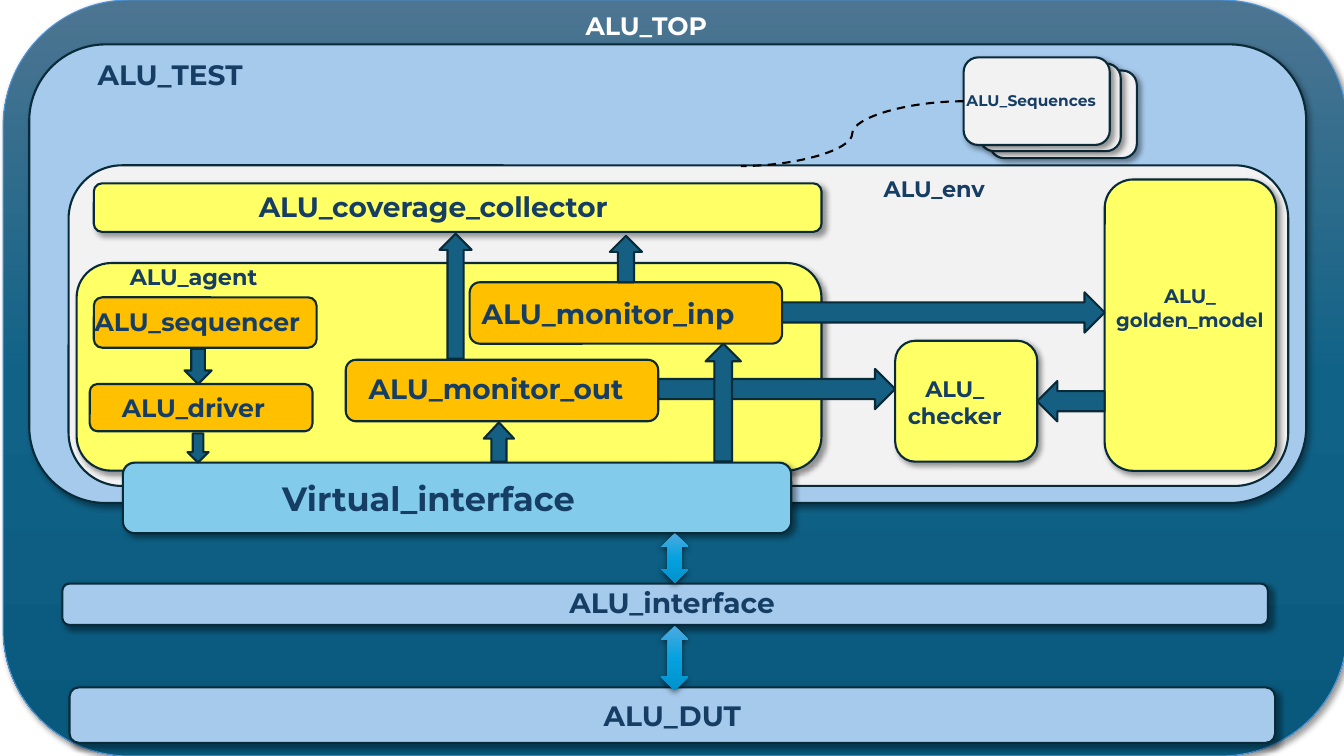
from dataclasses import dataclass

from pptx import Presentation
from pptx.dml.color import RGBColor
from pptx.enum.dml import MSO_LINE
from pptx.enum.shapes import MSO_CONNECTOR, MSO_SHAPE as Preset
from pptx.enum.text import MSO_ANCHOR as Anchor, MSO_AUTO_SIZE as AutoSize, PP_ALIGN as Align
from pptx.oxml import parse_xml
from pptx.oxml.ns import nsdecls, qn
from pptx.shapes.autoshape import Shape
from pptx.shapes.shapetree import SlideShapes
from pptx.text.text import TextFrame
from pptx.util import Pt

FONT = "Montserrat"
COLORS = {
    "navy": "163E64", "white": "FFFFFF", "black": "000000", "outline": "092A39",
    "top_edge": "4E95D9", "sky": "A6CAEC", "env": "F2F2F2", "yellow": "FFFF66",
    "orange": "FFC000", "virtual": "83CBEB", "teal": "156082",
}
GRADIENTS = {
    "top": ("4C7591", "106287", "09597D"),
    "link": ("4CAADF", "05A2DF", "0092CB"),
}


@dataclass(frozen=True)
class Shadow:
    """Offset shadow: opacity in percent, lengths in points, angle in degrees."""
    opacity: int
    blur: float
    distance: float
    angle: int


BOX_SHADOW = Shadow(40, 4, 3, 45)
LINK_SHADOW = Shadow(63, 4.5, 1.5, 90)


@dataclass(frozen=True)
class Block:
    """A filled preset shape of the testbench diagram."""
    left: float
    top: float
    width: float
    height: float
    fill: str
    shadow: Shadow | None = BOX_SHADOW
    preset: Preset = Preset.ROUNDED_RECTANGLE
    edge: str | None = "outline"
    edge_width: float = 1.5
    head: float | None = None


@dataclass(frozen=True)
class Label:
    """A caption placed over the diagram."""
    left: float
    top: float
    width: float
    size: int
    text: str
    align: Align = Align.LEFT


def arrow(preset: Preset, left: float, top: float, width: float, height: float,
          head: float | None = None) -> Block:
    """Describe a teal data-flow arrow."""
    return Block(left, top, width, height, "teal", None, preset, head=head)


def link(top: float, height: float) -> Block:
    """Describe a two-way arrow between interface layers."""
    return Block(472.3, top, 19.4, height, "link", LINK_SHADOW, Preset.UP_DOWN_ARROW, None)


TOP = Block(2.2, 0, 960, 540, "top", edge="top_edge", edge_width=0.75)
DUT = Block(49.7, 491, 861.1, 39.6, "sky")
FRONT_SEQUENCE = Block(688.3, 41, 104.4, 62.6, "env")

BLOCKS = [
    Block(20.9, 31.7, 912.2, 327.6, "sky"),
    Block(44.6, 416.9, 861.1, 29.5, "sky"),
    Block(49, 118.1, 871.2, 229, "env", None),
    Block(707, 50.4, 105.1, 62.6, "env"),
    Block(699.8, 45.4, 100.8, 62.6, "env"),
    Block(54.7, 187.9, 532.1, 148.3, "yellow"),
    Block(67, 131, 519.8, 34.6, "yellow"),
    Block(639.4, 243.4, 101.5, 86.4, "yellow"),
    Block(789.1, 128.2, 122.4, 208.1, "yellow"),
    Block(64.1, 274.3, 159.1, 33.8, "orange", None),
    Block(67, 212.4, 159.1, 36, "orange", None),
    Block(335.5, 201.6, 223.2, 43.9, "orange", None),
    Block(247, 257, 223.2, 43.9, "orange", None),
    Block(87.8, 330.5, 477.4, 50.4, "virtual"),
]

ARROWS = [
    link(447.1, 46.1),
    link(380.9, 35.3),
    arrow(Preset.RIGHT_ARROW, 558.7, 208.8, 230.4, 28.8),
    arrow(Preset.DOWN_ARROW, 131.8, 249.1, 19.4, 25.2),
    arrow(Preset.RIGHT_ARROW, 470.2, 263.5, 169.2, 28.8),
    arrow(Preset.LEFT_ARROW, 740.9, 272.2, 48.2, 28.8),
    arrow(Preset.UP_ARROW, 313.9, 167, 23, 89.3),
    arrow(Preset.UP_ARROW, 435.6, 168.5, 23, 33.1),
    arrow(Preset.UP_ARROW, 504, 245.5, 25.2, 84.2),
    arrow(Preset.DOWN_ARROW, 133.9, 309.6, 15.1, 20.9),
    arrow(Preset.UP_ARROW, 345.6, 301.7, 21.6, 28.1, head=0.54),
]

LABELS = [
    Label(62.6, 37.4, 480, 20, "ALU_TEST"),
    Label(683.3, 61.2, 117.4, 11, "ALU_Sequences"),
    Label(177.8, 131.8, 280.8, 20, "ALU_coverage_collector"),
    Label(781.6, 199.4, 136.8, 14, "ALU_\ngolden_model", Align.CENTER),
    Label(60.5, 215.3, 480, 18, "ALU_sequencer"),
    Label(79.9, 276.5, 480, 18, "ALU_driver"),
    Label(622.2, 264.2, 119.6, 16, "ALU_\nchecker", Align.CENTER),
    Label(194.4, 337.7, 480, 24, "Virtual_interface"),
    Label(399.6, 414.7, 480, 20, "ALU_interface"),
    Label(256.3, 262.1, 480, 20, "ALU_monitor_out"),
    Label(337, 208.1, 202.3, 20, "ALU_monitor_inp"),
    Label(85.7, 184.3, 164, 16, "ALU_agent"),
    Label(624.2, 121.7, 164, 16, "ALU_env"),
]


def write_text(frame: TextFrame, text: str, size: int, color: str, align: Align) -> None:
    """Write each line of the text as a bold paragraph."""
    frame.word_wrap = True
    for index, line in enumerate(text.split("\n")):
        paragraph = frame.add_paragraph() if index else frame.paragraphs[0]
        paragraph.alignment = align
        run = paragraph.add_run()
        run.text = line
        run.font.name, run.font.size, run.font.bold = FONT, Pt(size), True
        run.font.color.rgb = RGBColor.from_string(COLORS[color])


def add_gradient(shape: Shape, stops: tuple[str, ...]) -> None:
    """Fill the shape from top to bottom with evenly spaced colours."""
    step = 100000 // (len(stops) - 1)
    stop_xml = "".join(f'<a:gs pos="{index * step}"><a:srgbClr val="{color}"/></a:gs>'
                       for index, color in enumerate(stops))
    shape.element.spPr.find(qn("a:prstGeom")).addnext(parse_xml(
        f'<a:gradFill {nsdecls("a")} rotWithShape="1"><a:gsLst>{stop_xml}</a:gsLst>'
        '<a:lin ang="5400000" scaled="0"/></a:gradFill>'))


def add_shadow(shape: Shape, shadow: Shadow) -> None:
    """Give the shape an outer shadow."""
    shape.element.spPr.find(qn("a:effectLst")).append(parse_xml(
        f'<a:outerShdw {nsdecls("a")} blurRad="{Pt(shadow.blur)}" dist="{Pt(shadow.distance)}" '
        f'dir="{shadow.angle * 60000}" algn="tl" rotWithShape="0">'
        f'<a:srgbClr val="{COLORS["black"]}"><a:alpha val="{shadow.opacity * 1000}"/></a:srgbClr>'
        '</a:outerShdw>'))


def draw_block(shapes: SlideShapes, block: Block) -> Shape:
    """Draw one block and return its shape."""
    shape = shapes.add_shape(block.preset, Pt(block.left), Pt(block.top),
                             Pt(block.width), Pt(block.height))
    if block.head is not None:
        shape.adjustments[1] = block.head
    if block.fill in GRADIENTS:
        add_gradient(shape, GRADIENTS[block.fill])
    else:
        shape.fill.solid()
        shape.fill.fore_color.rgb = RGBColor.from_string(COLORS[block.fill])
    if block.edge:
        shape.line.color.rgb = RGBColor.from_string(COLORS[block.edge])
        shape.line.width = Pt(block.edge_width)
    else:
        shape.line.fill.background()
    shape.shadow.inherit = False
    if block.shadow:
        add_shadow(shape, block.shadow)
    return shape


def draw_label(shapes: SlideShapes, label: Label) -> None:
    """Draw one caption, as tall as its lines."""
    height = 7.2 + 1.22 * label.size * len(label.text.split("\n"))
    caption = shapes.add_textbox(Pt(label.left), Pt(label.top), Pt(label.width), Pt(height))
    write_text(caption.text_frame, label.text, label.size, "navy", label.align)
    caption.text_frame.auto_size = AutoSize.SHAPE_TO_FIT_TEXT


def draw_sequence_link(shapes: SlideShapes, sequence: Shape) -> None:
    """Draw the dashed curve from the sequences to the environment."""
    curve = shapes.add_connector(MSO_CONNECTOR.CURVE, Pt(688.3), Pt(72.3), Pt(529.2), Pt(118.6))
    curve.begin_connect(sequence, 1)
    curve.line.color.rgb = RGBColor.from_string(COLORS["black"])
    curve.line.width = Pt(1.5)
    curve.line.dash_style = MSO_LINE.DASH
    curve.element.spPr.append(parse_xml(f'<a:effectLst {nsdecls("a")}/>'))


def place_title(title: Shape) -> None:
    """Set the title at the head of the top module, in front of it."""
    title.left, title.top, title.width, title.height = Pt(411.1), Pt(3.6), Pt(480), Pt(29.2)
    write_text(title.text_frame, "ALU_TOP", 18, "white", Align.LEFT)
    title.text_frame.vertical_anchor = Anchor.TOP
    title.text_frame.auto_size = AutoSize.SHAPE_TO_FIT_TEXT
    title.element.getparent().append(title.element)


def main() -> None:
    """Build the testbench architecture slide."""
    deck = Presentation()
    deck.slide_width, deck.slide_height = Pt(960), Pt(540)
    shapes = deck.slides.add_slide(deck.slide_layouts[5]).shapes
    draw_block(shapes, TOP)
    place_title(shapes.title)
    dut = draw_block(shapes, DUT)
    write_text(dut.text_frame, "ALU_DUT", 20, "navy", Align.CENTER)
    dut.text_frame.vertical_anchor = Anchor.MIDDLE
    for block in BLOCKS:
        draw_block(shapes, block)
    draw_sequence_link(shapes, draw_block(shapes, FRONT_SEQUENCE))
    for flow in ARROWS:
        draw_block(shapes, flow)
    for label in LABELS:
        draw_label(shapes, label)
    deck.save("out.pptx")


if __name__ == "__main__":
    main()
